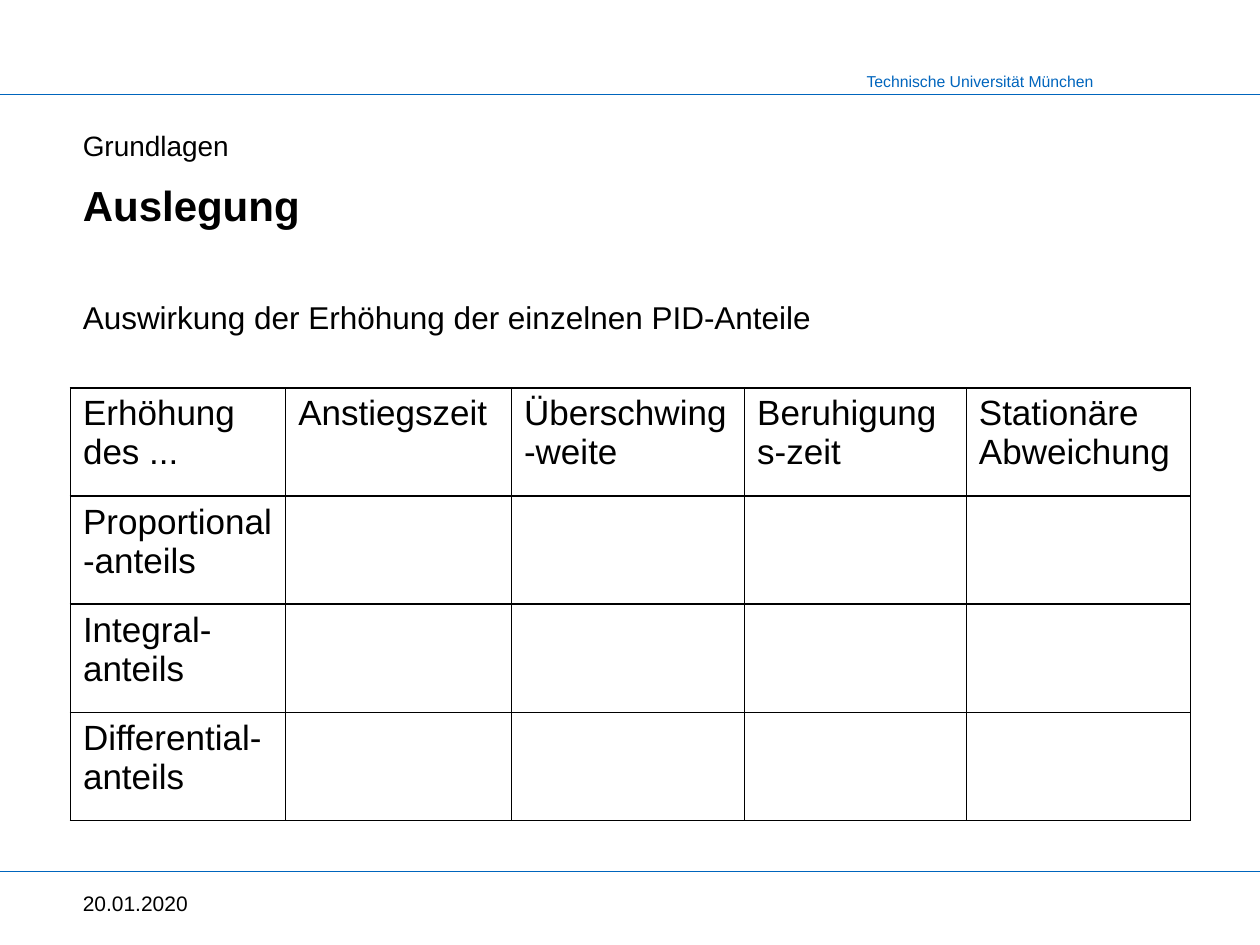
import dataclasses

import lxml.etree
import pptx
import pptx.dml.color
import pptx.enum.shapes
import pptx.enum.text
import pptx.oxml.ns
import pptx.util

Cm = pptx.util.Cm
Pt = pptx.util.Pt
RGB = pptx.dml.color.RGBColor
Anchor = pptx.enum.text.MSO_ANCHOR


@dataclasses.dataclass(frozen=True)
class Theme:
    face: str = "Arial"
    ink: str = "000000"
    blue: str = "0065BD"
    head: float = 9
    date: float = 12
    topic: float = 16
    lead: float = 18
    cell: float = 20
    title: float = 24
    rule: float = 0.75
    edge: float = 1


@dataclasses.dataclass(frozen=True)
class Label:
    text: str
    left: float
    top: float
    width: float
    height: float
    size: float
    tint: str
    bold: bool = False
    inset: float = 0.13
    anchor: Anchor = Anchor.TOP


THEME = Theme()
WIDTH, HEIGHT = 25.4, 19.05
LEFT, SPAN = 1.42, 22.58

RULES = (1.9, 17.57)
LABELS = (
    Label("Technische Universität München", 17.22, 1.32, 5.21, 0.64, THEME.head, THEME.blue),
    Label("Auslegung", LEFT, 3.4, SPAN, 2.44, THEME.title, THEME.ink, bold=True, inset=0.22),
    Label("Auswirkung der Erhöhung der einzelnen PID-Anteile", LEFT, 5.84, SPAN, 1.6,
          THEME.lead, THEME.ink, inset=0.16),
    Label("Grundlagen", LEFT, 2.44, SPAN, 0.96, THEME.topic, THEME.ink, inset=0.16),
    Label("20.01.2020", LEFT, 17.78, 5.28, 0.84, THEME.date, THEME.ink, anchor=Anchor.MIDDLE),
)

HEADS = ("Erhöhung des ...", "Anstiegszeit", "Überschwing-weite",
         "Beruhigungs-zeit", "Stationäre Abweichung")
PARTS = ("Proportional-anteils", "Integral-anteils", "Differential-anteils")
COLS = (4.34, 4.55, 4.7, 4.47, 4.52)
GRID_TOP, ROW = 7.82, 2.18


def write(frame, text: str, *, size: float, tint: str, bold: bool = False) -> None:
    par = frame.paragraphs[0]
    par.alignment = pptx.enum.text.PP_ALIGN.LEFT
    run = par.add_run()
    run.text = text
    run.font.name = THEME.face
    run.font.size = Pt(size)
    run.font.bold = bold
    run.font.color.rgb = RGB.from_string(tint)


def add_label(slide, label: Label) -> None:
    box = slide.shapes.add_textbox(
        Cm(label.left), Cm(label.top), Cm(label.width), Cm(label.height))
    frame = box.text_frame
    frame.word_wrap = True
    frame.margin_top = Cm(label.inset)
    frame.vertical_anchor = label.anchor
    write(frame, label.text, size=label.size, tint=label.tint, bold=label.bold)


def add_rule(slide, top: float) -> None:
    rule = slide.shapes.add_connector(
        pptx.enum.shapes.MSO_CONNECTOR.STRAIGHT, 0, Cm(top), Cm(WIDTH), Cm(top))
    rule.line.color.rgb = RGB.from_string(THEME.blue)
    rule.line.width = Pt(THEME.rule)
    lxml.etree.SubElement(rule._element.spPr, pptx.oxml.ns.qn("a:effectLst"))


def add_edge(cell) -> None:
    qn = pptx.oxml.ns.qn
    props = cell._tc.get_or_add_tcPr()
    for side in ("L", "R", "T", "B"):
        line = lxml.etree.SubElement(props, qn(f"a:ln{side}"), w=str(Pt(THEME.edge)))
        fill = lxml.etree.SubElement(line, qn("a:solidFill"))
        lxml.etree.SubElement(fill, qn("a:srgbClr"), val=THEME.ink)


def add_grid(slide) -> None:
    rows = [HEADS] + [(part,) + ("",) * (len(COLS) - 1) for part in PARTS]
    table = slide.shapes.add_table(
        len(rows), len(COLS), Cm(LEFT), Cm(GRID_TOP), Cm(SPAN), Cm(ROW * len(rows))).table
    table.first_row = False
    table.horz_banding = False
    for col, width in zip(table.columns, COLS):
        col.width = Cm(width)
    for y, row in enumerate(rows):
        table.rows[y].height = Cm(ROW)
        for x, text in enumerate(row):
            cell = table.cell(y, x)
            add_edge(cell)
            cell.fill.background()
            if text:
                write(cell.text_frame, text, size=THEME.cell, tint=THEME.ink)


def main() -> None:
    deck = pptx.Presentation()
    deck.slide_width, deck.slide_height = Cm(WIDTH), Cm(HEIGHT)
    slide = deck.slides.add_slide(deck.slide_layouts[6])
    for top in RULES:
        add_rule(slide, top)
    for label in LABELS:
        add_label(slide, label)
    add_grid(slide)
    deck.save("out.pptx")


if __name__ == "__main__":
    main()
